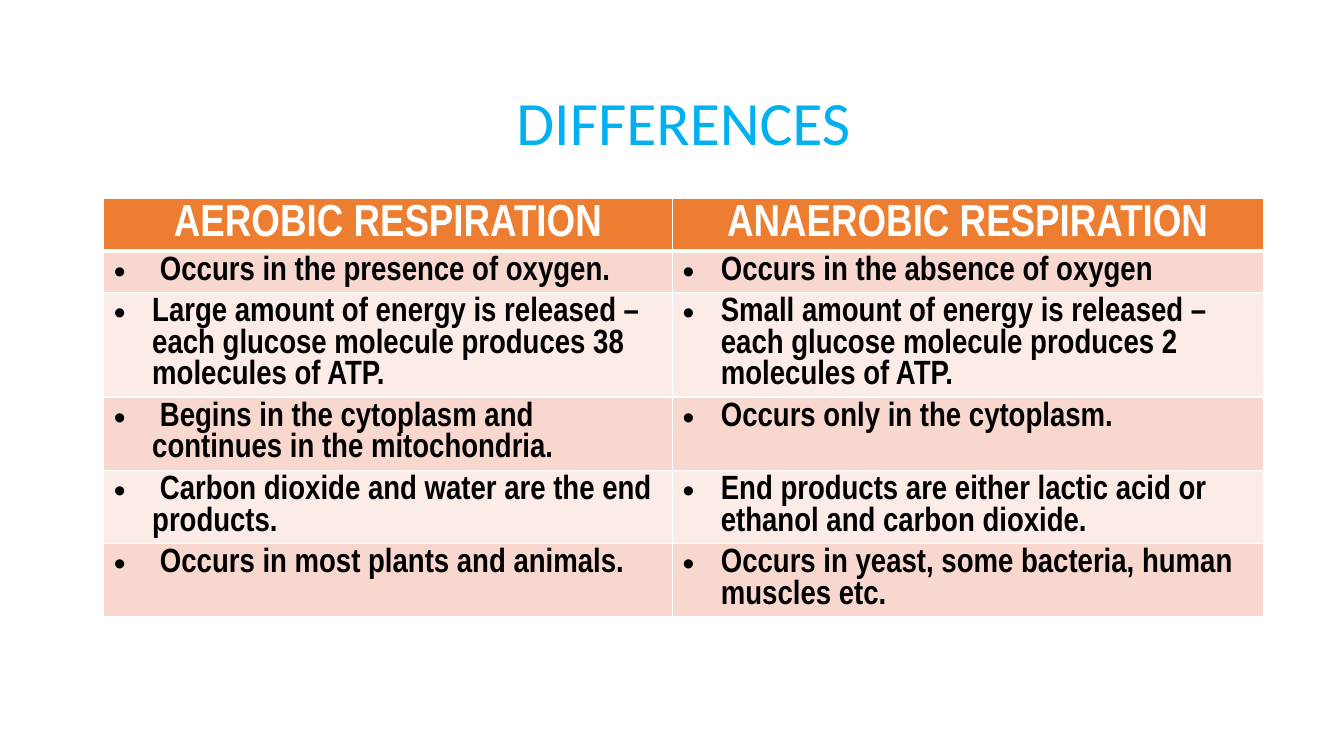
"""Build a slide comparing aerobic and anaerobic respiration in a table."""
from lxml import etree
from pptx import Presentation
from pptx import util as u
from pptx.dml.color import RGBColor
from pptx.enum import text
from pptx.oxml import ns

HEADING = "DIFFERENCES"
DIFFERENCES = [
    ("AEROBIC RESPIRATION", "ANAEROBIC RESPIRATION"),
    (" Occurs in the presence of oxygen.", "Occurs in the absence of oxygen"),
    ("Large amount of energy is released – each glucose molecule produces 38 molecules of ATP.",
     "Small amount of energy is released – each glucose molecule produces 2 molecules of ATP."),
    (" Begins in the cytoplasm and continues in the mitochondria.",
     "Occurs only in the cytoplasm."),
    (" Carbon dioxide and water are the end products.",
     "End products are either lactic acid or ethanol and carbon dioxide."),
    (" Occurs in most plants and animals.",
     "Occurs in yeast, some bacteria, human muscles etc."),
]
COLORS = {"heading": "00B0F0", "header": "ED7D31", "header_text": "FFFFFF",
          "body_text": "000000", "odd": "F8D7CE", "even": "FCECE8", "border": "FFFFFF"}
FORMATS = {
    "heading": {"name": "Calibri", "size": u.Pt(44), "bold": False},
    "header": {"name": "Arial Narrow", "size": u.Pt(32), "bold": True},
    "body": {"name": "Arial Narrow", "size": u.Pt(24), "bold": True},
}
LINE_SPACINGS = {"heading": 0.9, "header": u.Pt(30), "body": u.Pt(22.5)}
LEFT, WIDTH = 1.03, 11.5
HEADING_TOP, HEADING_HEIGHT = 0.52, 1.45
COLUMN_WIDTHS = (5.64, 5.86)
HEADER_HEIGHT, BODY_HEIGHT = 0.46, 0.41
BULLET_INDENT = 0.38
THIN, THICK = 1, 3


def write(paragraph, words, style, color):
    paragraph.line_spacing = LINE_SPACINGS[style]
    run = paragraph.add_run()
    run.text = words
    for attribute, value in FORMATS[style].items():
        setattr(run.font, attribute, value)
    run.font.color.rgb = RGBColor.from_string(COLORS[color])


def add_bullet(paragraph):
    properties = paragraph._p.get_or_add_pPr()
    indent = u.Inches(BULLET_INDENT)
    properties.set("marL", str(indent))
    properties.set("indent", str(-indent))
    etree.SubElement(properties, ns.qn("a:buFont"), typeface="Arial")
    etree.SubElement(properties, ns.qn("a:buChar"), char="•")


def add_borders(cell, top, bottom):
    properties = cell._tc.get_or_add_tcPr()
    for side, points in {"L": THIN, "R": THIN, "T": top, "B": bottom}.items():
        line = etree.SubElement(properties, ns.qn(f"a:ln{side}"), w=str(u.Pt(points)))
        fill = etree.SubElement(line, ns.qn("a:solidFill"))
        etree.SubElement(fill, ns.qn("a:srgbClr"), val=COLORS["border"])


def add_heading(slide):
    box = slide.shapes.add_textbox(*map(u.Inches, (LEFT, HEADING_TOP, WIDTH, HEADING_HEIGHT)))
    frame = box.text_frame
    frame.word_wrap = True
    frame.vertical_anchor = text.MSO_ANCHOR.MIDDLE
    paragraph = frame.paragraphs[0]
    paragraph.alignment = text.PP_ALIGN.CENTER
    write(paragraph, HEADING, "heading", "heading")


def add_differences(slide):
    heights = [HEADER_HEIGHT] + [BODY_HEIGHT] * (len(DIFFERENCES) - 1)
    frame = slide.shapes.add_table(
        len(heights), len(COLUMN_WIDTHS),
        *map(u.Inches, (LEFT, HEADING_TOP + HEADING_HEIGHT, WIDTH, sum(heights))))
    table = frame.table
    for column, width in zip(table.columns, COLUMN_WIDTHS):
        column.width = u.Inches(width)
    for index, (row, height, entries) in enumerate(zip(table.rows, heights, DIFFERENCES)):
        row.height = u.Inches(height)
        band = "header" if index == 0 else "odd" if index % 2 else "even"
        for cell, words in zip(row.cells, entries):
            add_borders(cell, THICK if index == 1 else THIN, THICK if index == 0 else THIN)
            cell.fill.solid()
            cell.fill.fore_color.rgb = RGBColor.from_string(COLORS[band])
            paragraph = cell.text_frame.paragraphs[0]
            if band == "header":
                paragraph.alignment = text.PP_ALIGN.CENTER
                write(paragraph, words, "header", "header_text")
            else:
                add_bullet(paragraph)
                write(paragraph, words, "body", "body_text")


def main():
    deck = Presentation()
    deck.slide_width, deck.slide_height = u.Inches(13.33), u.Inches(7.5)
    slide = deck.slides.add_slide(deck.slide_layouts[6])
    add_heading(slide)
    add_differences(slide)
    deck.save("out.pptx")


if __name__ == "__main__":
    main()
